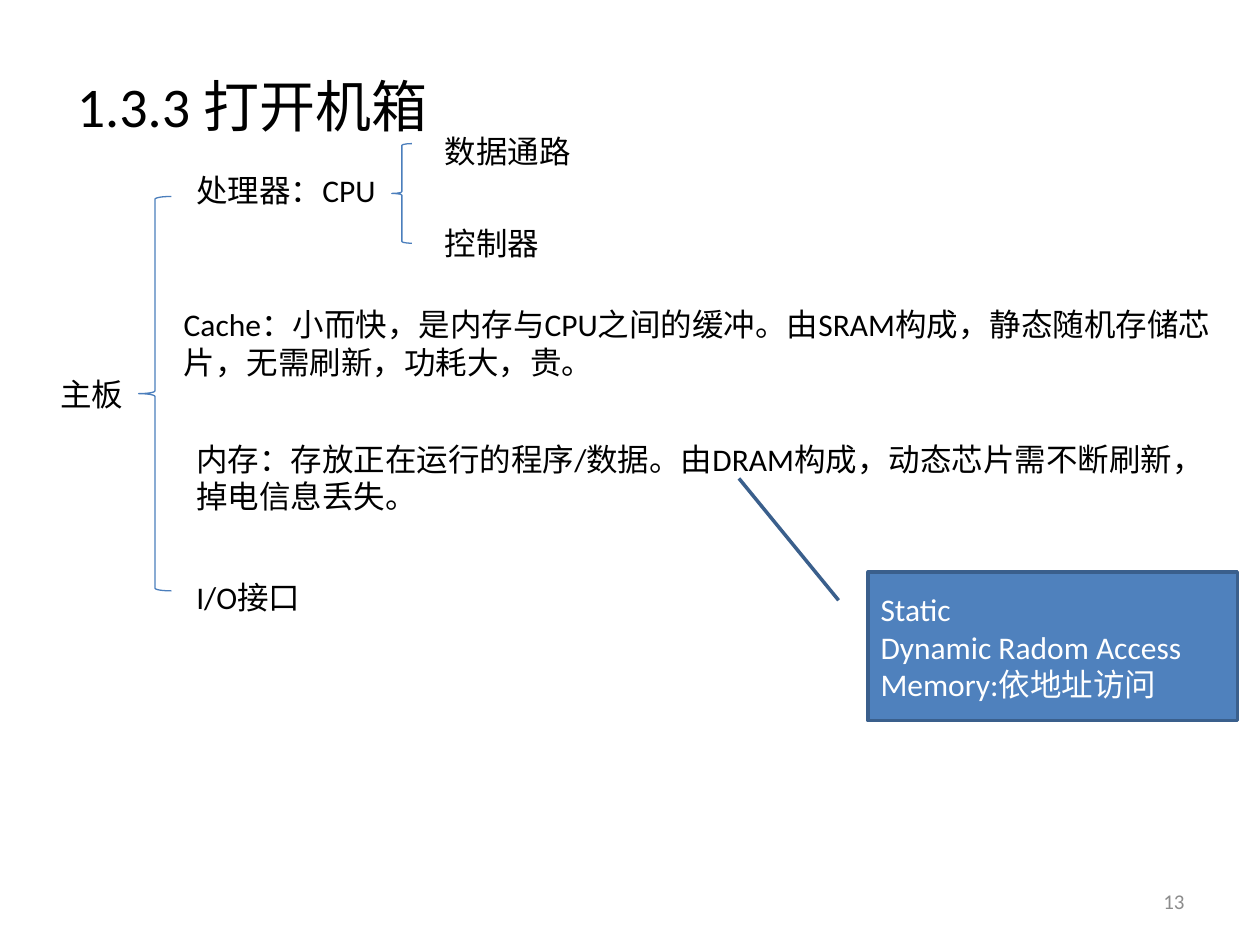
from dataclasses import dataclass

from pptx import Presentation
from pptx.dml.color import RGBColor
from pptx.enum.shapes import MSO_SHAPE as Shape
from pptx.enum.text import MSO_ANCHOR as Anchor, MSO_AUTO_SIZE as AutoSize, PP_ALIGN as Align
from pptx.util import Inches, Pt

COLS, ROWS = 100, 75


@dataclass(frozen=True)
class Theme:
    font: str = "Calibri"
    ink: str = "000000"
    muted: str = "8C8C8C"
    paper: str = "FFFFFF"
    brace: str = "4B7EBC"
    fill: str = "4F81BD"
    edge: str = "3A5F8C"
    title: int = 32
    body: int = 18
    small: int = 12


@dataclass(frozen=True)
class Box:
    col: float
    row: float
    cols: float
    rows: float


@dataclass(frozen=True)
class Label:
    text: str
    box: Box


T = Theme()
LINE, TWO_LINES = 4, 7.1
BRANCH, PART = 14.6, 34.3

LABELS = (
    Label("主板", Box(3.8, 29.3, 14.2, LINE)),
    Label("处理器：CPU", Box(BRANCH, 13.1, 16.5, LINE)),
    Label("数据通路", Box(PART, 10, 13.4, LINE)),
    Label("控制器", Box(PART, 17.3, 16.5, LINE)),
    Label("Cache：小而快，是内存与CPU之间的缓冲。由SRAM构成，静态随机存储芯片，无需刷新，功耗大，贵。",
          Box(13.6, 23.7, 84.6, TWO_LINES)),
    Label("内存：存放正在运行的程序/数据。由DRAM构成，动态芯片需不断刷新，掉电信息丢失。",
          Box(BRANCH, 34.4, 83.7, TWO_LINES)),
    Label("I/O接口", Box(BRANCH, 45.4, 46.5, LINE)),
)
BRACES = (Box(11, 15.6, 2.6, 31.3), Box(31.1, 11.4, 1.6, 7.9))

prs = Presentation()
prs.slide_width, prs.slide_height = Inches(10), Inches(7.5)


def place(box: Box) -> tuple[int, int, int, int]:
    w, h = prs.slide_width, prs.slide_height
    return (int(w * box.col / COLS), int(h * box.row / ROWS),
            int(w * box.cols / COLS), int(h * box.rows / ROWS))


def write(sp, text: str, *, size: int = T.body, color: str = T.ink,
          align: Align = Align.LEFT, anchor: Anchor = Anchor.TOP) -> None:
    tf = sp.text_frame
    tf.word_wrap, tf.auto_size, tf.vertical_anchor = True, AutoSize.NONE, anchor
    tf.text = text
    for p in tf.paragraphs:
        p.alignment = align
        for r in p.runs:
            r.font.name, r.font.size = T.font, Pt(size)
            r.font.color.rgb = RGBColor.from_string(color)


def add_text(s, text: str, box: Box, **fmt) -> None:
    write(s.shapes.add_textbox(*place(box)), text, **fmt)


def add_outline(s, kind: Shape, box: Box, color: str, width: float):
    sp = s.shapes.add_shape(kind, *place(box))
    sp.shadow.inherit = False
    sp.fill.background()
    sp.line.color.rgb = RGBColor.from_string(color)
    sp.line.width = Pt(width)
    return sp


def add_callout(s, text: str, box: Box, pointer: tuple[float, ...]) -> None:
    sp = add_outline(s, Shape.LINE_CALLOUT_1, box, T.edge, 2)
    sp.fill.solid()
    sp.fill.fore_color.rgb = RGBColor.from_string(T.fill)
    for i, value in enumerate(pointer):
        sp.adjustments[i] = value
    write(sp, text, color=T.paper, anchor=Anchor.MIDDLE)


def main() -> None:
    s = prs.slides.add_slide(prs.slide_layouts[5])
    title = s.shapes.title
    title.left, title.top, title.width, title.height = place(Box(5.1, 5.2, 90, 7.1))
    write(title, "1.3.3 打开机箱", size=T.title)
    for box in BRACES:
        add_outline(s, Shape.LEFT_BRACE, box, T.brace, 0.75)
    for label in LABELS:
        add_text(s, label.text, label.box)
    add_callout(s, "Static\nDynamic Radom Access Memory:依地址访问",
                Box(68.9, 45.4, 29.3, 11.8), (0.19, -0.08, -0.63, -0.35))
    add_text(s, "13", Box(71.7, 69.5, 23.3, 4), size=T.small, color=T.muted,
             align=Align.RIGHT, anchor=Anchor.MIDDLE)
    prs.save("out.pptx")


if __name__ == "__main__":
    main()
